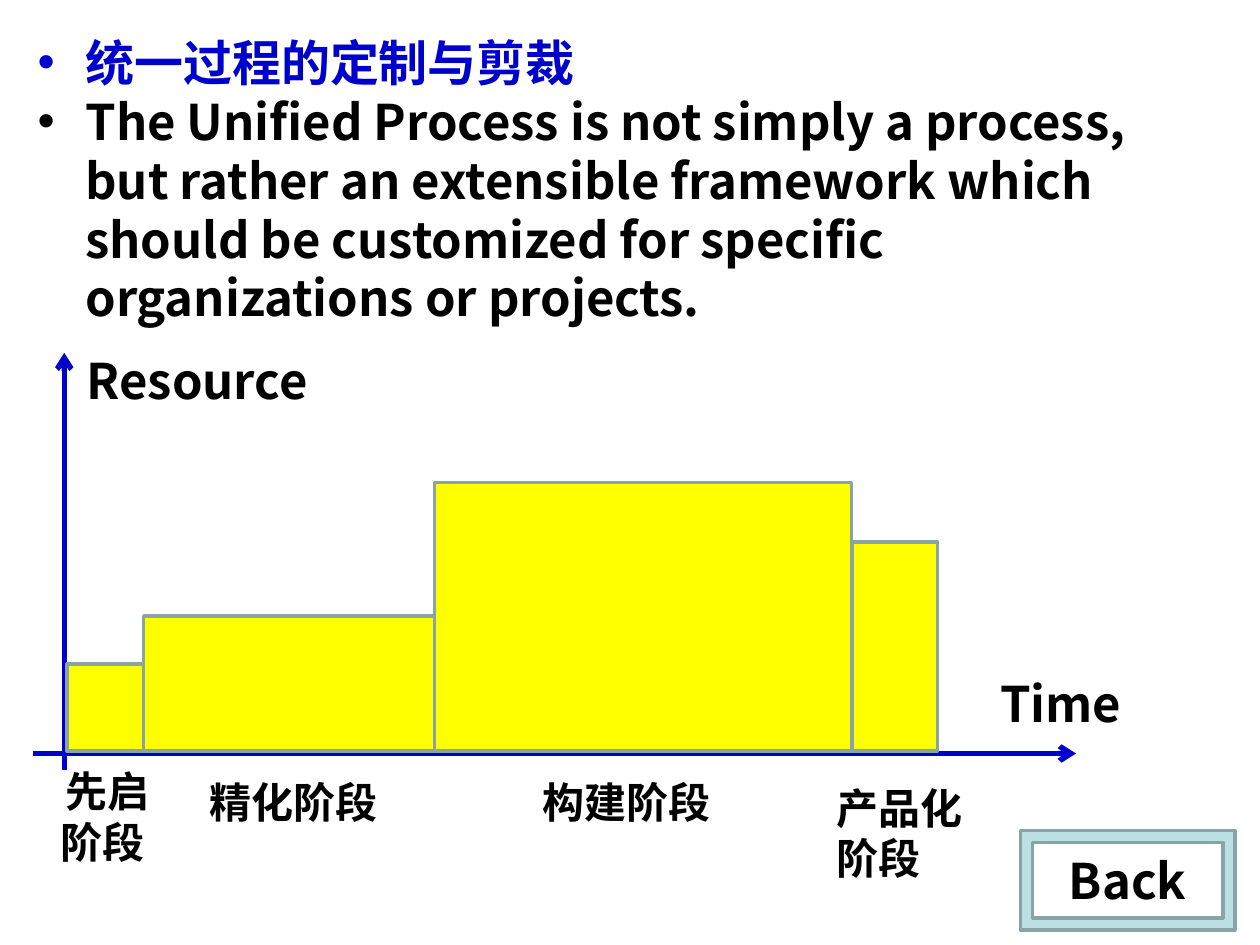
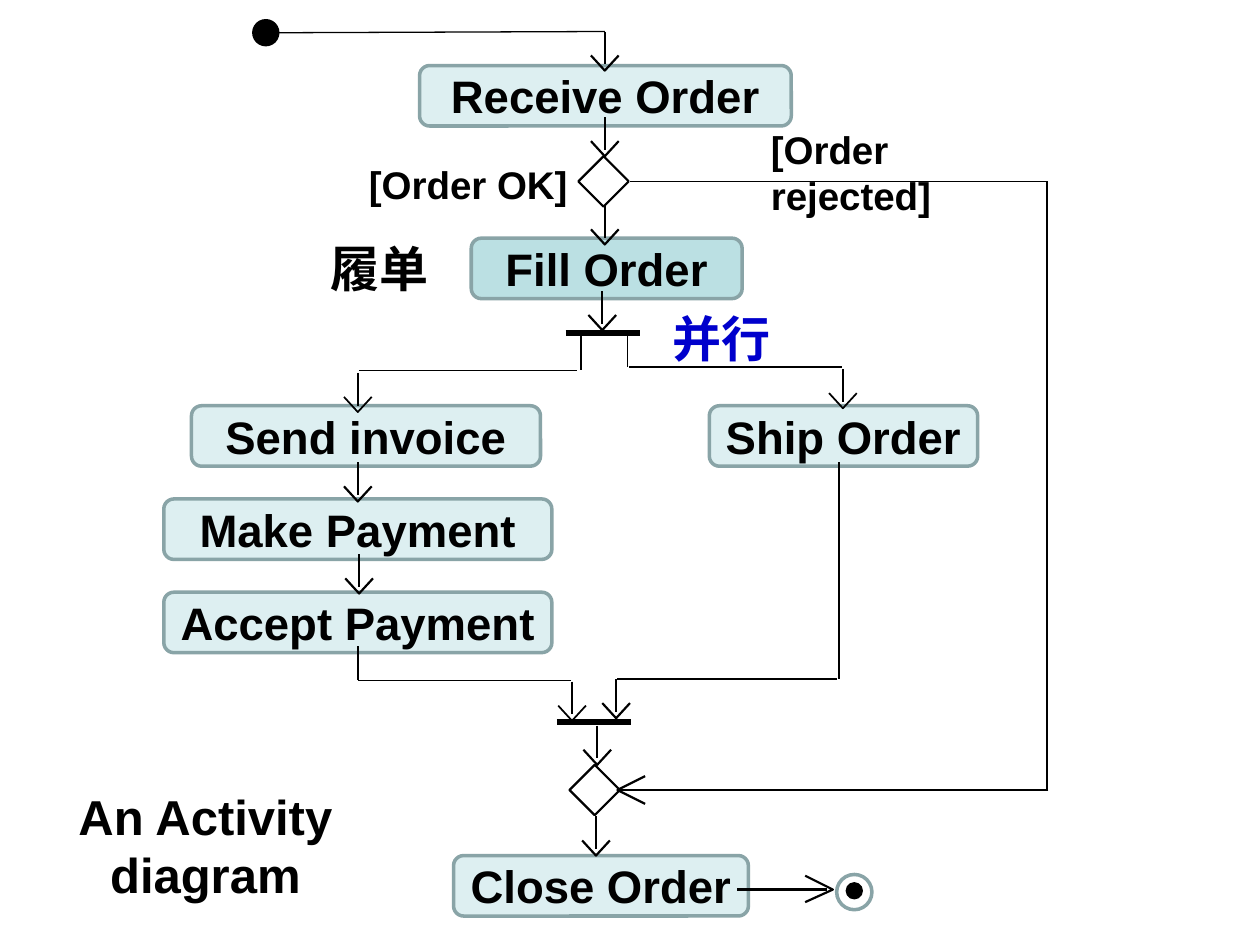
from itertools import pairwise

from lxml import etree
from pptx import Presentation
from pptx.dml.color import RGBColor
from pptx.enum.shapes import MSO_CONNECTOR, MSO_SHAPE
from pptx.enum.text import MSO_ANCHOR, MSO_AUTO_SIZE, PP_ALIGN
from pptx.oxml.ns import qn
from pptx.util import Inches, Pt

LINE = MSO_CONNECTOR.STRAIGHT
RECT, ROUND = MSO_SHAPE.RECTANGLE, MSO_SHAPE.ROUNDED_RECTANGLE
OVAL, FRAME = MSO_SHAPE.OVAL, MSO_SHAPE.FRAME
TOP, MID = MSO_ANCHOR.TOP, MSO_ANCHOR.MIDDLE
LEFT, MIDST = PP_ALIGN.LEFT, PP_ALIGN.CENTER

BLACK, BLUE, WHITE = "000000", "0000CC", "FFFFFF"
YELLOW, AQUA, GREY = "FFFF00", "BBE0E3", "89A4A7"
HAN, LATIN = "Noto Sans CJK SC", "Arial"
hue = RGBColor.from_string

deck = Presentation()
deck.slide_width, deck.slide_height = Inches(10), Inches(7.5)
# The grid has 1000 columns and 750 rows
U = deck.slide_width // 1000


def paint(item, line, width, fill=None, alpha=None):
    item.line.color.rgb = hue(line)
    item.line.width = Pt(width)
    if fill:
        item.fill.solid()
        item.fill.fore_color.rgb = hue(fill)
        if alpha:
            tint = item._element.spPr.find(".//" + qn("a:srgbClr"))
            etree.SubElement(tint, qn("a:alpha"), val=str(alpha * 1000))
    elif hasattr(item, "fill"):
        item.fill.background()
    etree.SubElement(item._element.spPr, qn("a:effectLst"))


def write(item, text, size, face=HAN, tone=BLACK, align=LEFT, anchor=TOP, pads=(10, 5)):
    frame = item.text_frame
    form = {"word_wrap": True, "auto_size": MSO_AUTO_SIZE.NONE,
            "vertical_anchor": anchor,
            "margin_left": pads[0] * U, "margin_right": pads[0] * U,
            "margin_top": pads[1] * U, "margin_bottom": pads[1] * U}
    for key, value in form.items():
        setattr(frame, key, value)
    frame.text = text
    for par in frame.paragraphs:
        par.alignment = align
        for run in par.runs:
            for key, value in {"size": Pt(size), "bold": True, "name": face}.items():
                setattr(run.font, key, value)
            run.font.color.rgb = hue(tone)
            etree.SubElement(run._r.rPr, qn("a:ea"), typeface=face)
    return frame


# Slide 1: tailoring the process
blank = deck.slide_layouts[6]
shapes = deck.slides.add_slide(blank).shapes

# Bulleted text
body = shapes.add_textbox(20 * U, 21 * U, 953 * U, 251 * U)
frame = write(body, "统一过程的定制与剪裁\n"
              "The Unified Process is not simply a process, but rather an extensible "
              "framework which should be customized for specific organizations or projects.", 28)
for par, tone in zip(frame.paragraphs, (BLUE, BLACK)):
    par.runs[0].font.color.rgb = hue(tone)
    props = par._p.get_or_add_pPr()
    props.set("marL", str(38 * U))
    props.set("indent", str(-38 * U))
    mark = etree.SubElement(props, qn("a:buClr"))
    etree.SubElement(mark, qn("a:srgbClr"), val=tone)
    etree.SubElement(props, qn("a:buFont"), typeface=LATIN)
    etree.SubElement(props, qn("a:buChar"), char="•")

# Axes
for ends in ((26, 598, 854, 598), (51, 611, 51, 280)):
    axis = shapes.add_connector(LINE, *(n * U for n in ends))
    paint(axis, BLUE, 3)
    etree.SubElement(axis.line._ln, qn("a:tailEnd"), type="arrow")

# One bar for each phase, all on one base
BASE = 596
edges = (53, 114, 345, 676, 744)
for (left, right), top in zip(pairwise(edges), (527, 489, 383, 430)):
    bar = shapes.add_shape(RECT, left * U, top * U, (right - left) * U, (BASE - top) * U)
    paint(bar, GREY, 2, YELLOW)

# Axis and phase labels
for text, left, top, width, height, size, align in (
    ("Resource", 59, 273, 219, 57, 28, LEFT),
    ("Time", 784, 530, 142, 57, 28, LEFT),
    ("先启\n阶段 ", 33, 603, 104, 90, 24, MIDST),
    ("精化阶段 ", 153, 611, 168, 50, 24, MIDST),
    ("构建阶段", 421, 611, 189, 50, 24, LEFT),
    ("产品化\n阶段", 654, 616, 128, 90, 24, LEFT),
):
    label = shapes.add_textbox(left * U, top * U, width * U, height * U)
    write(label, text, size, align=align)

# Back button
back = shapes.add_shape(FRAME, 810 * U, 659 * U, 170 * U, 79 * U)
back.adjustments[0] = 0.12
paint(back, GREY, 2, AQUA)
write(back, "Back", 28, align=MIDST, anchor=MID)

# Slide 2: activity diagram
shapes = deck.slides.add_slide(blank).shapes

# Actions
for text, left, top, width, alpha in (
    ("Receive Order", 333, 52, 295, 49),
    ("Fill Order", 374, 189, 215, None),
    ("Ship Order", 563, 322, 213, 49),
    ("Send invoice", 152, 322, 277, 49),
    ("Make Payment", 130, 396, 308, 49),
    ("Accept Payment", 130, 470, 308, 49),
    ("Close Order", 360, 679, 234, 49),
):
    step = shapes.add_shape(ROUND, left * U, top * U, width * U, 48 * U)
    paint(step, GREY, 2, AQUA, alpha)
    write(step, text, 26, LATIN, align=MIDST, anchor=MID, pads=(8, 0))

# Start and end nodes
for left, top, size, line, width, fill in (
    (201, 16, 20, BLACK, 1.25, BLACK),
    (672, 701, 12, BLACK, 1.25, BLACK),
    (664, 694, 28, GREY, 2, None),
):
    node = shapes.add_shape(OVAL, left * U, top * U, size * U, size * U)
    paint(node, line, width, fill)

# Decision and merge
for x, y in ((479, 144), (472, 627)):
    pen = shapes.build_freeform(x, y - 20, scale=U)
    pen.add_line_segments([(x - 20, y), (x, y + 20), (x + 20, y)], close=True)
    paint(pen.convert_to_shape(), BLACK, 1.25, WHITE)

# Flow lines by width, with the arrows pointing sideways
lines = {
    0.75: [(220, 26, 480, 25), (666, 367, 666, 539), (831, 144, 831, 627)],
    1: [(498, 264, 498, 291), (499, 291, 668, 291), (461, 267, 461, 294),
        (285, 294, 458, 294), (284, 513, 284, 540), (284, 540, 453, 540),
        (490, 539, 664, 539), (500, 144, 831, 144)],
    1.25: [(585, 706, 656, 706), (832, 627, 492, 627)],
    3.5: [(449, 264, 508, 264), (442, 573, 501, 573)],
}
heads = [(1.25, [(639, 695), (661, 706), (639, 716)]),
         (1.25, [(512, 638), (490, 627), (512, 616)])]

# Arrows pointing down, each with the same shaft and head
for width, tips in {
    1: [(669, 324), (284, 327), (454, 572)],
    1.25: [(480, 56), (480, 124), (480, 194), (478, 262), (284, 398),
           (285, 471), (489, 570), (474, 607), (473, 679)],
}.items():
    for x, y in tips:
        lines[width].append((x, y - 31, x, y - 5))
        heads.append((width, [(x + 11, y - 12), (x, y), (x - 11, y - 12)]))

for width, group in lines.items():
    for ends in group:
        paint(shapes.add_connector(LINE, *(n * U for n in ends)), BLACK, width)
for width, (first, *rest) in heads:
    pen = shapes.build_freeform(*first, scale=U)
    pen.add_line_segments(rest, close=False)
    paint(pen.convert_to_shape(), BLACK, width)

# Guards, notes and caption
for text, left, top, width, height, size, face, tone, align in (
    ("[Order rejected]", 602, 95, 244, 84, 22, LATIN, BLACK, LEFT),
    ("[Order OK]", 283, 123, 185, 47, 22, LATIN, BLACK, LEFT),
    ("并行", 524, 240, 116, 57, 28, HAN, BLUE, LEFT),
    ("An Activity diagram", 38, 619, 250, 104, 28, LATIN, BLACK, MIDST),
    ("履单", 235, 184, 132, 57, 28, HAN, BLACK, MIDST),
):
    label = shapes.add_textbox(left * U, top * U, width * U, height * U)
    write(label, text, size, face, tone, align)

deck.save("out.pptx")
